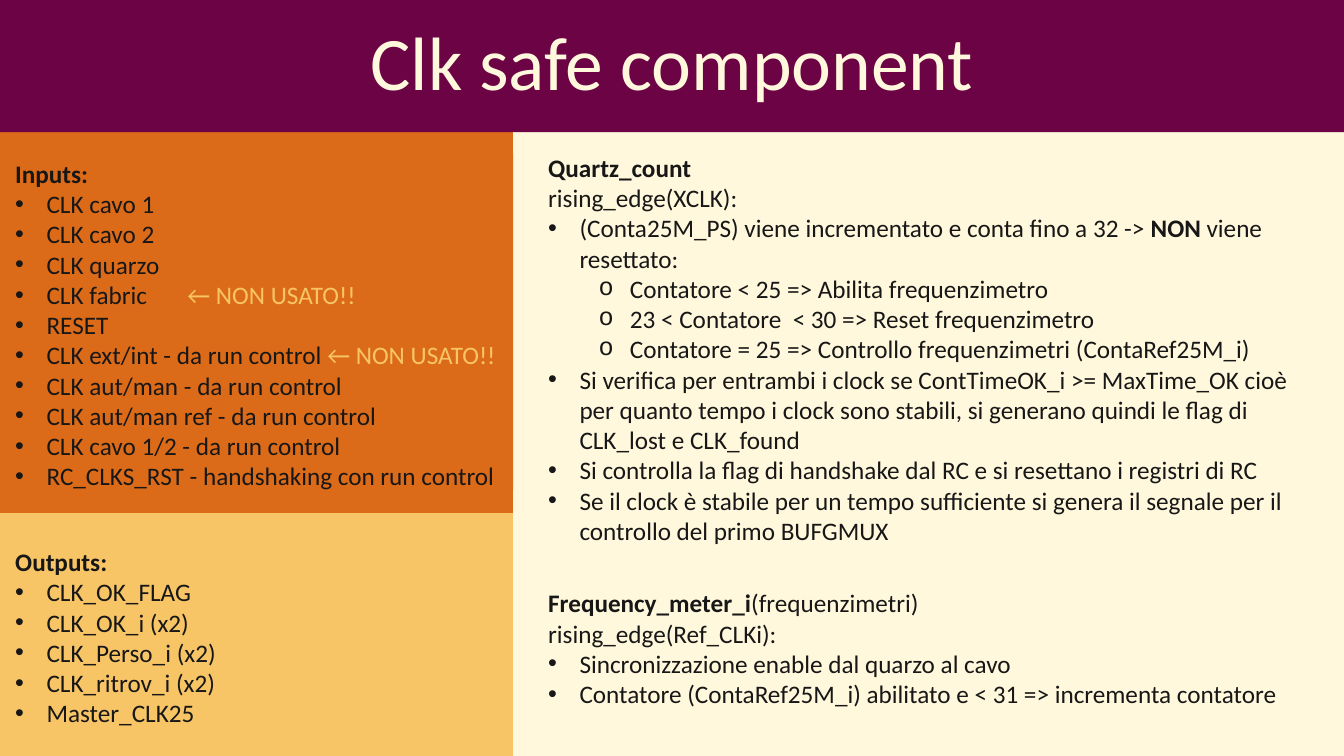
"""Builds the "Clk safe component" slide with its inputs, outputs and process notes."""
from lxml import etree
from pptx import Presentation
from pptx.dml.color import RGBColor
from pptx.enum.shapes import MSO_SHAPE
from pptx.enum.text import MSO_ANCHOR, MSO_AUTO_SIZE, PP_ALIGN
from pptx.oxml.ns import qn
from pptx.util import Cm, Pt

RECTANGLE = MSO_SHAPE.RECTANGLE
TOP, MIDDLE = MSO_ANCHOR.TOP, MSO_ANCHOR.MIDDLE
GROW = MSO_AUTO_SIZE.SHAPE_TO_FIT_TEXT
LEFT, CENTER = PP_ALIGN.LEFT, PP_ALIGN.CENTER

PLUM = RGBColor(0x6C, 0x03, 0x45)
ORANGE = RGBColor(0xDC, 0x6B, 0x19)
AMBER = RGBColor(0xF7, 0xC5, 0x66)
CREAM = RGBColor(0xFF, 0xF8, 0xDC)
INK = RGBColor(0x18, 0x17, 0x17)

FONT = "Calibri"
PAGE_WIDTH, PAGE_HEIGHT = Cm(33.87), Cm(19.05)
TITLE_HEIGHT = Cm(3.33)
SIDE_WIDTH = Cm(12.93)
OUTPUTS_TOP = Cm(12.93)
HANGING = Cm(0.79)
NOTE_TAB = Cm(4.34)
UNUSED = "← NON USATO!!"
BOLD_SPANS = ("Inputs:", "Outputs:", "Quartz_count", "NON ", "Frequency_meter_i")
BULLETS = {
    "item": ("•", "Arial", HANGING),
    "subitem": ("o", "Courier New", Cm(2.06)),
}

INPUTS = [
    ("plain", "Inputs:"),
    ("item", "CLK cavo 1"),
    ("item", "CLK cavo 2"),
    ("item", "CLK quarzo"),
    ("item", "CLK fabric\t", UNUSED),
    ("item", "RESET"),
    ("item", "CLK ext/int - da run control ", UNUSED),
    ("item", "CLK aut/man - da run control"),
    ("item", "CLK aut/man ref - da run control"),
    ("item", "CLK cavo 1/2 - da run control"),
    ("item", "RC_CLKS_RST - handshaking con run control"),
]
OUTPUTS = [
    ("plain", "Outputs:"),
    ("item", "CLK_OK_FLAG"),
    ("item", "CLK_OK_i (x2)"),
    ("item", "CLK_Perso_i (x2)"),
    ("item", "CLK_ritrov_i (x2)"),
    ("item", "Master_CLK25"),
]
QUARTZ_COUNT = [
    ("plain", "Quartz_count"),
    ("plain", "rising_edge(XCLK):"),
    ("item", "(Conta25M_PS) viene incrementato e conta fino a 32 -> ",
     "NON ", "viene resettato:"),
    ("subitem", "Contatore < 25 => Abilita frequenzimetro"),
    ("subitem", "23 < Contatore  < 30 => Reset frequenzimetro"),
    ("subitem", "Contatore = 25 => Controllo frequenzimetri (ContaRef25M_i)"),
    ("item", "Si verifica per entrambi i clock se ContTimeOK_i >= MaxTime_OK cioè "
             "per quanto tempo i clock sono stabili, si generano quindi le flag di "
             "CLK_lost e CLK_found"),
    ("item", "Si controlla la flag di handshake dal RC e si resettano i registri di RC"),
    ("item", "Se il clock è stabile per un tempo sufficiente si genera il segnale "
             "per il controllo del primo BUFGMUX"),
]
FREQUENCY_METER = [
    ("plain", "Frequency_meter_i", "(frequenzimetri)"),
    ("plain", "rising_edge(Ref_CLKi):"),
    ("item", "Sincronizzazione enable dal quarzo al cavo"),
    ("item", "Contatore (ContaRef25M_i) abilitato e < 31 => incrementa contatore"),
]


def place(shape, left, top, width, height, color):
    shape.left, shape.top, shape.width, shape.height = left, top, width, height
    shape.fill.solid()
    shape.fill.fore_color.rgb = color


def set_bullet(para, kind):
    properties = para._p.get_or_add_pPr()
    if kind == "plain":
        properties.set("marL", "0")
        properties.set("indent", "0")
        etree.SubElement(properties, qn("a:buNone"))
        return
    symbol, typeface, margin = BULLETS[kind]
    properties.set("marL", str(margin))
    properties.set("indent", str(-HANGING))
    etree.SubElement(properties, qn("a:buFont"), typeface=typeface)
    etree.SubElement(properties, qn("a:buChar"), char=symbol)
    if "\t" in para.text:
        tabs = etree.SubElement(properties, qn("a:tabLst"))
        etree.SubElement(tabs, qn("a:tab"), pos=str(NOTE_TAB), algn="l")


deck = Presentation()
deck.slide_width, deck.slide_height = PAGE_WIDTH, PAGE_HEIGHT
page = deck.slides.add_slide(deck.slide_layouts.get_by_name("Comparison"))
title, *boxes = page.placeholders

panels = [
    (SIDE_WIDTH, TITLE_HEIGHT, PAGE_WIDTH - SIDE_WIDTH, PAGE_HEIGHT - TITLE_HEIGHT, CREAM),
    (0, OUTPUTS_TOP, SIDE_WIDTH, PAGE_HEIGHT - OUTPUTS_TOP, AMBER),
    (0, TITLE_HEIGHT, SIDE_WIDTH, OUTPUTS_TOP - TITLE_HEIGHT, ORANGE),
]
for left, top, width, height, color in panels:
    panel = page.shapes.add_shape(RECTANGLE, left, top, width, height)
    place(panel, left, top, width, height, color)
    panel.line.fill.background()
    panel.shadow.inherit = False
    page.shapes.element.insert(2, panel.element)

place(title, 0, 0, PAGE_WIDTH, TITLE_HEIGHT, PLUM)
title.text_frame.text = "Clk safe component"
title.text_frame.vertical_anchor = MIDDLE
heading = title.text_frame.paragraphs[0]
heading.alignment = CENTER
heading.line_spacing = 0.9
heading.font.name = FONT
heading.font.size = Pt(54)
heading.font.color.rgb = CREAM

lists = [
    (INPUTS, Cm(0.13), Cm(3.86), Cm(12.8), Cm(8.71), ORANGE),
    (OUTPUTS, Cm(0.13), Cm(13.64), Cm(8.97), Cm(4.88), AMBER),
    (QUARTZ_COUNT, Cm(13.56), Cm(3.71), Cm(19.79), Cm(10.26), CREAM),
    (FREQUENCY_METER, Cm(13.56), Cm(14.68), Cm(19.79), Cm(3.33), CREAM),
]
for box, (lines, left, top, width, height, color) in zip(boxes, lists):
    place(box, left, top, width, height, color)
    frame = box.text_frame
    frame.word_wrap = True
    frame.auto_size = GROW
    frame.vertical_anchor = TOP
    for number, (kind, *texts) in enumerate(lines):
        para = frame.add_paragraph() if number else frame.paragraphs[0]
        para.level = 1 if kind == "subitem" else 0
        for text in texts:
            span = para.add_run()
            span.text = text
            span.font.bold = text in BOLD_SPANS
            if text == UNUSED:
                span.font.color.rgb = AMBER
        set_bullet(para, kind)
        para.alignment = LEFT
        para.line_spacing = 1.0
        para.space_before = para.space_after = Pt(0)
        para.font.name = FONT
        para.font.size = Pt(18)
        para.font.color.rgb = INK

deck.save("out.pptx")
